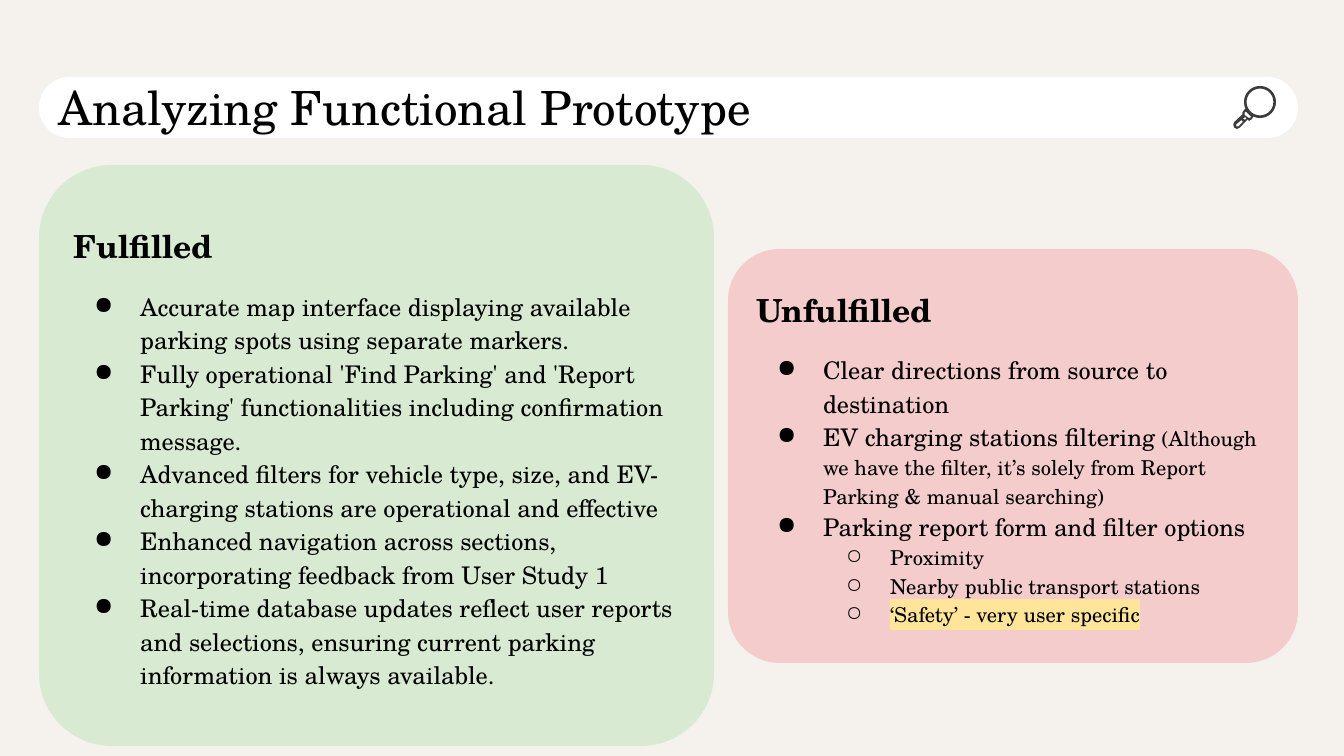
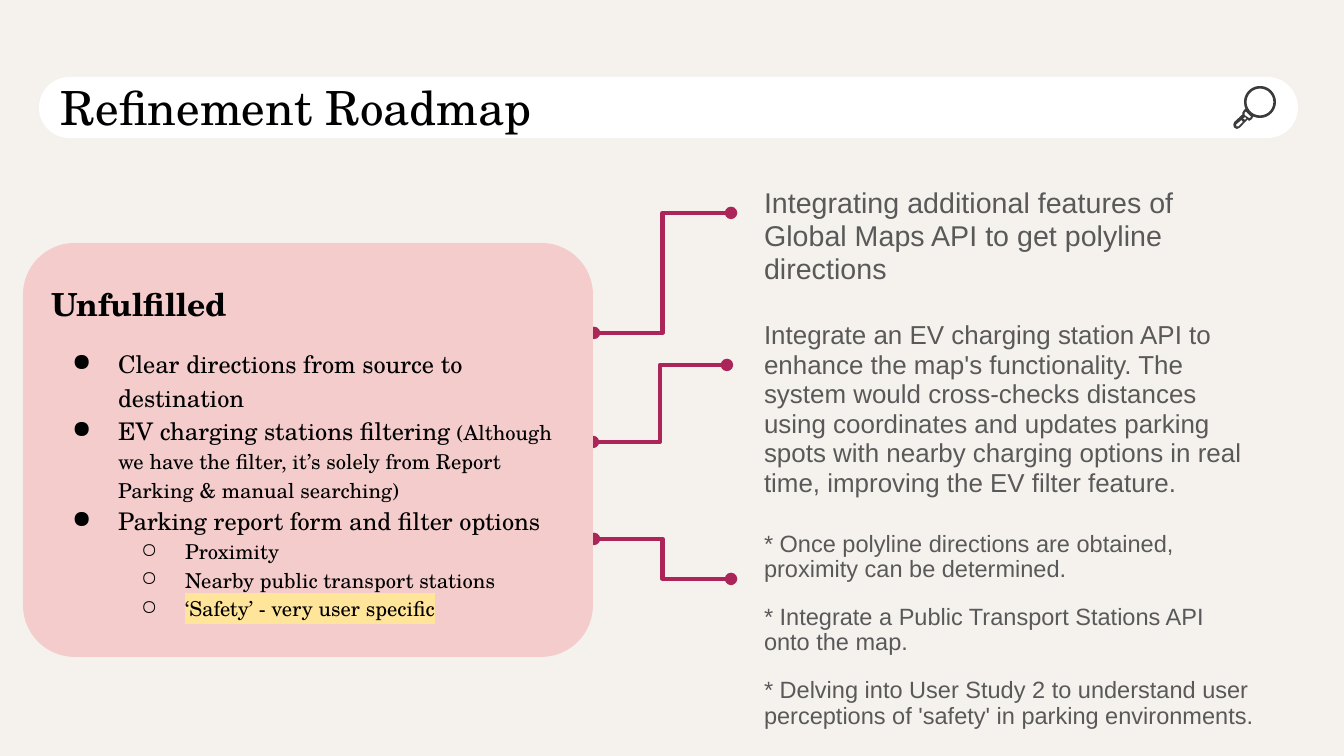
import math
from dataclasses import dataclass
from lxml import etree
from pptx import Presentation
from pptx import util as u
from pptx.dml.color import RGBColor
from pptx.enum import shapes, text
from pptx.oxml.ns import qn

PX = 914400 / 134.4


@dataclass(frozen=True)
class Theme:
    page: str = "F5F2EE"
    bar: str = "FFFFFF"
    icon: str = "3B3B3B"
    ink: str = "000000"
    note: str = "595959"
    good: str = "D9EAD3"
    bad: str = "F4CCCC"
    mark: str = "FFE599"
    link: str = "AB2558"
    serif: str = "TeX Gyre Schola"
    sans: str = "Arial"
    title: float = 25.2
    head: float = 17
    body: float = 13
    small: float = 11
    gap: float = 12
    wire: float = 2.25


T = Theme()

DONE = [
    "Accurate map interface displaying available parking spots using separate markers.",
    "Fully operational 'Find Parking' and 'Report Parking' functionalities including confirmation message.",
    "Advanced filters for vehicle type, size, and EV-charging stations are operational and effective",
    "Enhanced navigation across sections, incorporating feedback from User Study 1",
    "Real-time database updates reflect user reports and selections, ensuring current parking information is always available.",
]
OPEN = [
    "Clear directions from source to destination",
    "EV charging stations filtering ",
    "Parking report form and filter options",
]
ASIDE = "(Although we have the filter, it’s solely from Report Parking & manual searching)"
SUBS = ["Proximity", "Nearby public transport stations", "‘Safety’ - very user specific"]

PLANS = [
    ((751, 175, 517, 133), 15.3, 0.95, [
        "Integrating additional features of Global Maps API to get polyline directions"]),
    ((751, 308, 517, 220), 13.9, 0.95, [
        "Integrate an EV charging station API to enhance the map's functionality. "
        "The system would cross-checks distances using coordinates and updates parking "
        "spots with nearby charging options in real time, improving the EV filter feature."]),
    ((751, 519, 517, 231), 12.6, 0.9, [
        "* Once polyline directions are obtained, proximity can be determined.",
        "* Integrate a Public Transport Stations API onto the map.",
        "* Delving into User Study 2 to understand user perceptions of 'safety' in parking environments."]),
]
LINKS = [(594, 333, 731, 213), (593, 442, 727, 365), (594, 539, 731, 579)]


def px(*vals):
    return [u.Emu(round(v * PX)) for v in vals]


def rgb(code):
    return RGBColor.from_string(code)


def style(run, size, color=T.ink, face=T.serif, bold=False):
    font = run.font
    font.size, font.name, font.bold = u.Pt(size), face, bold
    font.color.rgb = rgb(color)


def paint(shape, color):
    shape.shadow.inherit = False
    shape.fill.solid()
    shape.fill.fore_color.rgb = rgb(color)
    shape.line.fill.background()


def setup(shape, lines, anchor=text.MSO_ANCHOR.TOP):
    frame = shape.text_frame
    frame.word_wrap = True
    frame.vertical_anchor = anchor
    frame.margin_left = frame.margin_right = px(13)[0]
    frame.margin_top = frame.margin_bottom = px(13)[0]
    frame.text = "\n".join(lines)
    for para in frame.paragraphs:
        para.alignment = text.PP_ALIGN.LEFT
    return frame.paragraphs


def round_box(tree, box, color, adj):
    shape = tree.add_shape(shapes.MSO_SHAPE.ROUNDED_RECTANGLE, *px(*box))
    shape.adjustments[0] = adj
    paint(shape, color)
    return shape


def bullet(para, level):
    left, hang, sign = [(67, 46, "●"), (134, 44, "○")][level]
    para.level = level
    props = para._p.get_or_add_pPr()
    props.set("marL", str(px(left)[0]))
    props.set("indent", str(-px(hang)[0]))
    color = etree.SubElement(props, qn("a:buClr"))
    etree.SubElement(color, qn("a:srgbClr"), val=T.ink)
    etree.SubElement(props, qn("a:buChar"), char=sign)


def mark(run):
    node = etree.Element(qn("a:highlight"))
    etree.SubElement(node, qn("a:srgbClr"), val=T.mark)
    run._r.rPr.find(qn("a:solidFill")).addnext(node)


def arc(radius, start, stop):
    angles = [math.radians(a) for a in range(start, stop + 1, 10)]
    return [(270 + radius * math.cos(a), 160 + radius * math.sin(a)) for a in angles]


def lens(tree, x, y):
    rim = arc(160, 155, 475) + [
        (190, 330), (160, 350), (145, 335), (70, 415), (40, 430), (10, 415),
        (3, 385), (13, 360), (94, 285), (95, 265), (110, 240)]
    collar = [(130, 255), (185, 310), (162, 322), (115, 290), (118, 262)]
    joint = [(120, 310), (135, 325), (121, 340), (100, 325)]
    grip = [(85, 340), (100, 360), (55, 405), (35, 405), (30, 385)]
    pen = tree.build_freeform(*rim[0], scale=PX / 10)
    pen.add_line_segments(rim[1:])
    for hole in (arc(134, 0, 350), collar, joint, grip):
        pen.move_to(*hole[0])
        pen.add_line_segments(hole[1:])
    paint(pen.convert_to_shape(*px(x, y)), T.icon)


def header(slide, words, inset):
    x, y, w, h = 39, 77, 1259, 61
    tree = slide.shapes.add_group_shape().shapes
    round_box(tree, (x, y, w, h), T.bar, 0.5)
    lens(tree, x + w - 65, y + 9)
    label = slide.shapes.add_textbox(*px(x + inset, y - 11, w - 6, h + 24))
    style(setup(label, [words])[0].runs[0], T.title)


def card(slide, box, color, name, items, subs=()):
    shape = round_box(slide.shapes, box, color, 0.125)
    paras = setup(shape, [name, *items, *subs], text.MSO_ANCHOR.MIDDLE)
    for i, para in enumerate(paras):
        para.line_spacing = 1.15
        if i == 0:
            style(para.runs[0], T.head, bold=True)
            continue
        deep = i > len(items)
        bullet(para, int(deep))
        if i == 1:
            para.space_before = u.Pt(T.gap)
        style(para.runs[0], T.small if deep else T.body)
    return paras


def todo(slide, x, y):
    paras = card(slide, (x, y, 570, 414), T.bad, "Unfulfilled", OPEN, SUBS)
    tail = paras[2].add_run()
    tail.text = ASIDE
    style(tail, T.small)
    mark(paras[-1].runs[0])


def plan(slide, box, size, pitch, lines):
    paras = setup(slide.shapes.add_textbox(*px(*box)), lines)
    for i, para in enumerate(paras):
        para.line_spacing = pitch
        if i:
            para.space_before = u.Pt(T.gap)
        style(para.runs[0], size, T.note, T.sans)
    paras[-1].space_after = u.Pt(T.gap)


def link(slide, ends):
    wire = slide.shapes.add_connector(shapes.MSO_CONNECTOR.ELBOW, *px(*ends))
    wire.line.color.rgb = rgb(T.link)
    wire.line.width = u.Pt(T.wire)
    line = wire.line._get_or_add_ln()
    for end in ("headEnd", "tailEnd"):
        etree.SubElement(line, qn("a:" + end), type="oval")
    etree.SubElement(wire._element.spPr, qn("a:effectLst"))


def page(deck, words, inset):
    slide = deck.slides.add_slide(deck.slide_layouts[6])
    slide.background.fill.solid()
    slide.background.fill.fore_color.rgb = rgb(T.page)
    header(slide, words, inset)
    return slide


def review(deck):
    slide = page(deck, "Analyzing Functional Prototype", 7)
    card(slide, (39, 165, 675, 581), T.good, "Fulfilled", DONE)
    todo(slide, 728, 249)


def roadmap(deck):
    slide = page(deck, "Refinement Roadmap", 9)
    for ends, item in zip(LINKS, PLANS):
        link(slide, ends)
        plan(slide, *item)
    todo(slide, 23, 243)


def main():
    deck = Presentation()
    deck.slide_width, deck.slide_height = px(1344, 756)
    review(deck)
    roadmap(deck)
    deck.save("out.pptx")


if __name__ == "__main__":
    main()
